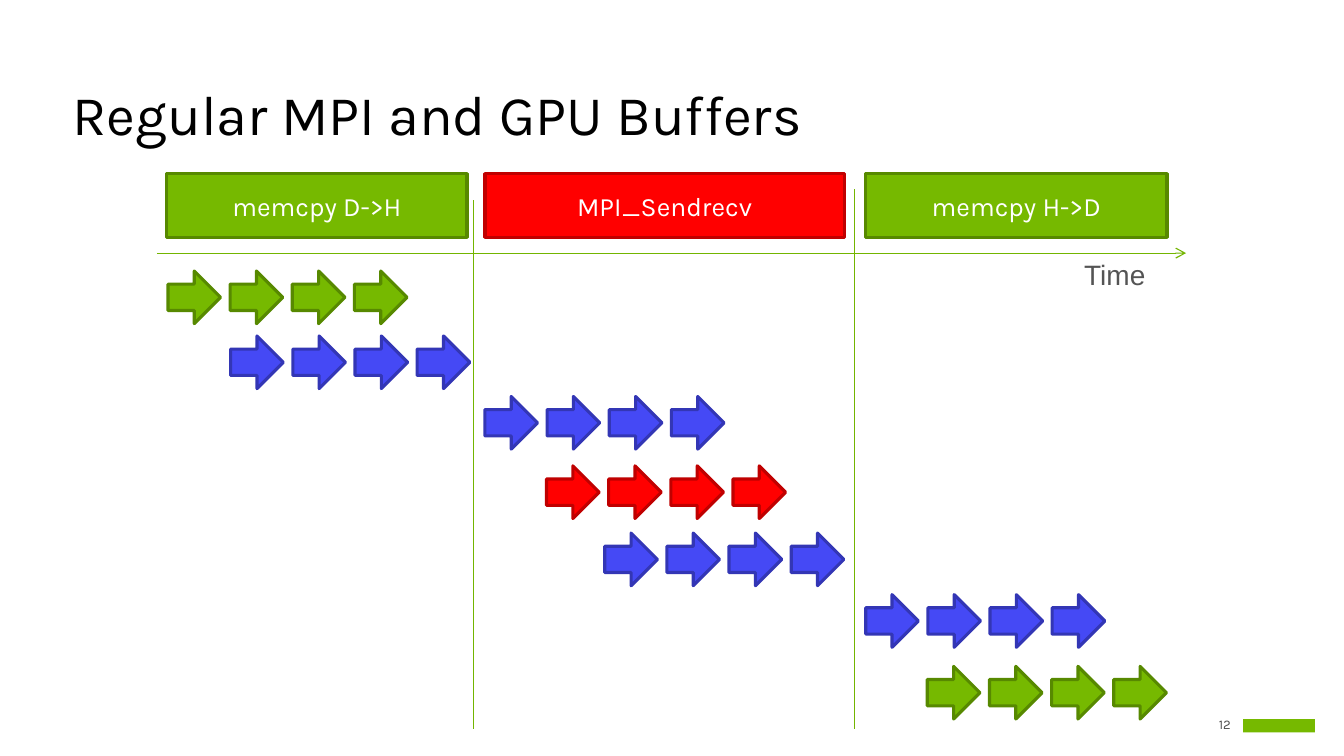
"""Build the slide that shows how regular MPI moves GPU buffers over time."""
from lxml import etree
from pptx import Presentation, util as u
from pptx.dml.color import RGBColor
from pptx.enum import shapes, text
from pptx.oxml import ns

deck = Presentation()
deck.slide_width, deck.slide_height = u.Inches(12), u.Inches(6.75)
CELL = deck.slide_width / 120
slide = deck.slides.add_slide(deck.slide_layouts[6])
canvas = slide.shapes

TONES = {"green": ("76B900", "578900"), "red": ("FF0000", "C00000"), "blue": ("4549F5", "3336B5")}
ALIGN, ANCHOR = text.PP_ALIGN, text.MSO_ANCHOR


def block(preset, cells, fill, edge=None):
    part = canvas.add_shape(preset, *(round(n * CELL) for n in cells))
    part.shadow.inherit = False
    part.fill.solid()
    part.fill.fore_color.rgb = RGBColor.from_string(fill)
    if edge:
        part.line.color.rgb = RGBColor.from_string(edge)
        part.line.width = u.Pt(2)
    else:
        part.line.fill.background()
    return part


def write(holder, words, color, frame_format, line_format, font_format):
    frame = holder.text_frame
    line = frame.paragraphs[0]
    run = line.add_run()
    run.text = words
    run.font.color.rgb = RGBColor.from_string(color)
    for target, values in ((frame, frame_format), (line, line_format), (run.font, font_format)):
        for name, value in values.items():
            setattr(target, name, value)


tight = dict.fromkeys(("margin_left", "margin_right", "margin_top", "margin_bottom"), 0)
labels = [
    ((5.5, 7.2, 109.1, 6.5), "Regular MPI and GPU Buffers", "000000",
     {"word_wrap": True, "vertical_anchor": ANCHOR.BOTTOM},
     {"alignment": ALIGN.LEFT, "line_spacing": 0.9}, {"size": u.Pt(36), "name": "Karla"}),
    ((95.9, 22.6, 10.2, 3.9), "Time", "545454",
     {"word_wrap": True, "margin_top": u.Inches(0.04), "margin_left": u.Inches(0.09)},
     {"alignment": ALIGN.LEFT}, {"size": u.Pt(18), "name": "Arial"}),
    ((106.8, 63.8, 3.1, 1.8), "12", "505050",
     {"word_wrap": True, "vertical_anchor": ANCHOR.MIDDLE, **tight},
     {"alignment": ALIGN.RIGHT}, {"size": u.Pt(8.5), "name": "Karla"}),
]
for cells, *content in labels:
    write(canvas.add_textbox(*(round(n * CELL) for n in cells)), *content)

phases = [(14.9, 26.8, "memcpy D->H", "green"), (43.3, 32.1, "MPI_Sendrecv", "red"),
          (77.3, 26.9, "memcpy H->D", "green")]
for left, width, words, tone in phases:
    phase = block(shapes.MSO_SHAPE.RECTANGLE, (left, 15.5, width, 5.7), *TONES[tone])
    write(phase, words, "FFFFFF", {"word_wrap": True, "vertical_anchor": ANCHOR.MIDDLE},
          {"alignment": ALIGN.CENTER}, {"size": u.Pt(17), "name": "Karla"})

chunk_rows = [(15, 24.2, "green"), (20.6, 30, "blue"), (43.3, 35.4, "blue"), (48.8, 41.6, "red"),
              (54, 47.6, "blue"), (77.3, 53.1, "blue"), (82.8, 59.5, "green")]
for left, top, tone in chunk_rows:
    for chunk in range(4):
        block(shapes.MSO_SHAPE.RIGHT_ARROW, (left + chunk * 5.55, top, 4.7, 4.7), *TONES[tone])

time_axis = (14, 22.6, 105.9, 22.6)
dividers = [(42.3, 17.9, 42.3, 65.1), (76.3, 16.9, 76.3, 65.1)]
for ends in (time_axis, *dividers):
    rule = canvas.add_connector(shapes.MSO_CONNECTOR.STRAIGHT, *(round(n * CELL) for n in ends))
    rule.line.color.rgb = RGBColor.from_string("73B500")
    rule.line.width = u.Pt(0.75)
    if ends == time_axis:
        etree.SubElement(rule.line._get_or_add_ln(), ns.qn("a:tailEnd"), type="arrow")
    etree.SubElement(rule._element.spPr, ns.qn("a:effectLst"))

block(shapes.MSO_SHAPE.RECTANGLE, (111, 64.2, 6.4, 1.2), "76B900")

deck.save("out.pptx")
